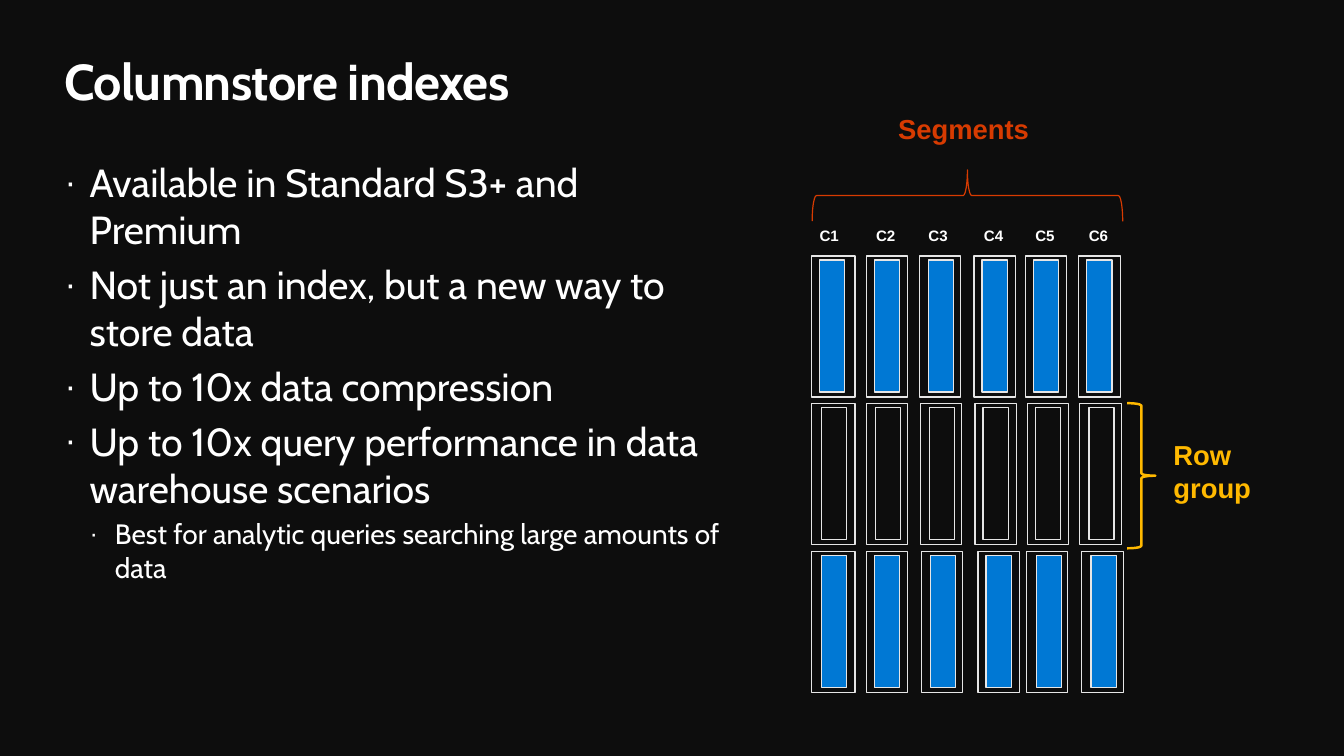
from dataclasses import dataclass

from lxml.etree import SubElement
from pptx import Presentation
from pptx.dml.color import RGBColor as Color
from pptx.enum.shapes import MSO_SHAPE as Shape
from pptx.enum.text import MSO_ANCHOR as Anchor, MSO_AUTO_SIZE as Fit, PP_ALIGN as Align
from pptx.oxml.ns import qn
from pptx.util import Pt

PX = 9144  # EMU per px, at 100 px to the inch


@dataclass(frozen=True)
class Theme:
    ground: str = "0D0D0D"
    text: str = "FFFFFF"
    outline: str = "E6E6E6"
    bar: str = "0078D4"
    segments: str = "D73B01"
    row_group: str = "FFB900"
    text_font: str = "Cabin"
    label_font: str = "Arial"
    title_size: float = 36
    bullet_sizes: tuple = (28, 20)
    caption_size: float = 19.6
    column_size: float = 10.8
    thin: float = 0.85
    thick: float = 1.75


THEME = Theme()

BULLETS = [
    (0, "Available in Standard S3+ and Premium"),
    (0, "Not just an index, but a new way to store data"),
    (0, "Up to 10x data compression"),
    (0, "Up to 10x query performance in data warehouse scenarios"),
    (1, "Best for analytic queries searching large amounts of data"),
]

# Left and width of each column label
COLUMN_LABELS = [(803, 39), (859, 45), (911, 49), (966, 51), (1017, 52), (1070, 62)]

# Each row group: top, bar fill, frame lefts, bar lefts
ROW_GROUPS = [
    (254, THEME.bar, (805, 859, 912, 966, 1017, 1070), (813, 867, 921, 974, 1025, 1078)),
    (400, THEME.ground, (805, 859, 913, 967, 1019, 1071), (815, 868, 922, 975, 1027, 1080)),
    (547, THEME.bar, (805, 859, 914, 970, 1018, 1073), (815, 867, 923, 978, 1028, 1082)),
]
FRAME_HEIGHT = 140
BAR_WIDTH, BAR_HEIGHT, BAR_INSET = 25, 131, 4


def emu(*lengths):
    return [length * PX for length in lengths]


def apply_format(target, values):
    for name, value in values.items():
        setattr(target, name, value)


def add_span(para, text, font, size, color, bold=False):
    span = para.add_run()
    span.text = text
    apply_format(span.font, {"name": font, "size": Pt(size), "bold": bold})
    span.font.color.rgb = Color.from_string(color)
    return span


def prepare_frame(box, margin=None, wrap=True):
    values = {"word_wrap": wrap, "auto_size": Fit.SHAPE_TO_FIT_TEXT,
              "vertical_anchor": Anchor.TOP}
    if margin is not None:
        for side in ("left", "top", "right", "bottom"):
            values[f"margin_{side}"] = margin
    apply_format(box.text_frame, values)
    return box.text_frame


def set_title(page, text):
    title = page.shapes.title
    apply_format(title, dict(zip(("left", "top", "width", "height"), emu(64, 50, 1205, 61))))
    para = prepare_frame(title, margin=0).paragraphs[0]
    para.alignment = Align.LEFT
    span = add_span(para, text, THEME.text_font, THEME.title_size, THEME.text, bold=True)
    span.font._element.set("spc", "-50")


def set_bullet(para, level):
    properties = para._p.get_or_add_pPr()
    properties.set("marL", str(25 * (level + 1) * PX))
    properties.set("indent", str(-25 * PX))
    SubElement(properties, qn("a:buSzPct"), val="90000")
    SubElement(properties, qn("a:buFont"), typeface=THEME.label_font)
    SubElement(properties, qn("a:buChar"), char="·")


def add_bullets(page, bullets):
    box = page.shapes.add_textbox(*emu(64, 157, 657, 252))
    frame = prepare_frame(box, margin=0)
    for index, (level, text) in enumerate(bullets):
        para = frame.add_paragraph() if index else frame.paragraphs[0]
        size = THEME.bullet_sizes[level]
        apply_format(para, {"level": level, "space_before": Pt(size * 0.2)})
        set_bullet(para, level)
        add_span(para, text, THEME.text_font, size, THEME.text)


def add_label(page, text, place, size, color, wrap=True):
    box = page.shapes.add_textbox(*emu(*place))
    para = prepare_frame(box, wrap=wrap).paragraphs[0]
    add_span(para, text, THEME.label_font, size, color, bold=True)


def add_outline(page, kind, place, line, weight, fill=None):
    shape = page.shapes.add_shape(kind, *emu(*place))
    shape.shadow.inherit = False
    if fill:
        shape.fill.solid()
        shape.fill.fore_color.rgb = Color.from_string(fill)
    else:
        shape.fill.background()
    shape.line.color.rgb = Color.from_string(line)
    shape.line.width = Pt(weight)
    return shape


def add_row_group(page, top, fill, frame_lefts, bar_lefts):
    for column, (frame_left, bar_left) in enumerate(zip(frame_lefts, bar_lefts)):
        frame_width = 41 if column else 43
        bar = (bar_left, top + BAR_INSET, BAR_WIDTH, BAR_HEIGHT)
        frame = (frame_left, top, frame_width, FRAME_HEIGHT)
        add_outline(page, Shape.RECTANGLE, bar, THEME.outline, THEME.thin, fill)
        add_outline(page, Shape.RECTANGLE, frame, THEME.outline, THEME.thin)


def main():
    deck = Presentation()
    apply_format(deck, {"slide_width": 1333 * PX, "slide_height": 750 * PX})
    page = deck.slides.add_slide(deck.slide_layouts[5])
    page.background.fill.solid()
    page.background.fill.fore_color.rgb = Color.from_string(THEME.ground)

    # Title and bullet list
    set_title(page, "Columnstore indexes")
    add_bullets(page, BULLETS)

    # Columns split into row groups
    for row_group in ROW_GROUPS:
        add_row_group(page, *row_group)
    for number, (left, width) in enumerate(COLUMN_LABELS, start=1):
        add_label(page, f"C{number}", (left, 220, width, 29), THEME.column_size,
                  THEME.text, wrap=number > 1)

    # Braces and their captions
    add_outline(page, Shape.RIGHT_BRACE, (1118, 400, 28, 144), THEME.row_group, THEME.thick)
    segments = add_outline(page, Shape.RIGHT_BRACE, (934, 40, 51, 308),
                           THEME.segments, THEME.thin)
    segments.rotation = 270
    add_label(page, "Segments", (881, 106, 163, 44), THEME.caption_size, THEME.segments)
    add_label(page, "Row group", (1154, 430, 103, 77), THEME.caption_size, THEME.row_group)

    deck.save("out.pptx")


if __name__ == "__main__":
    main()
